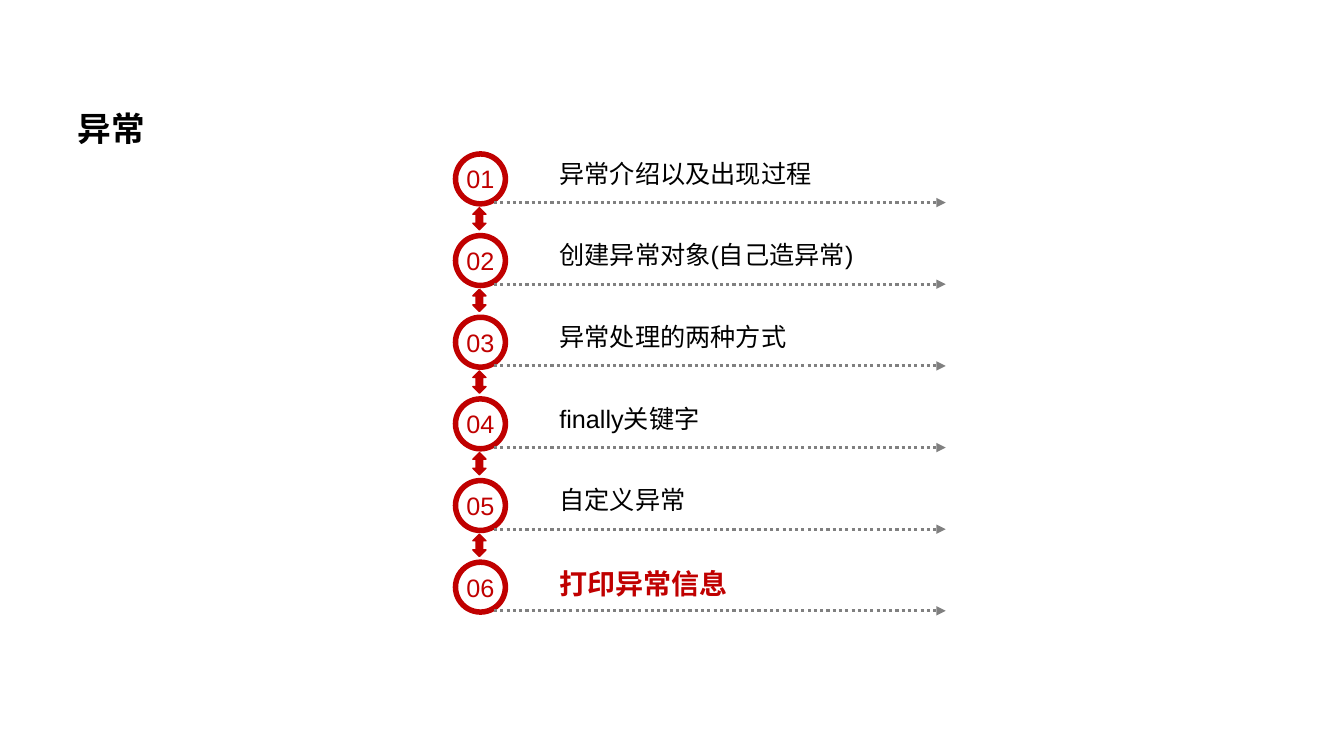
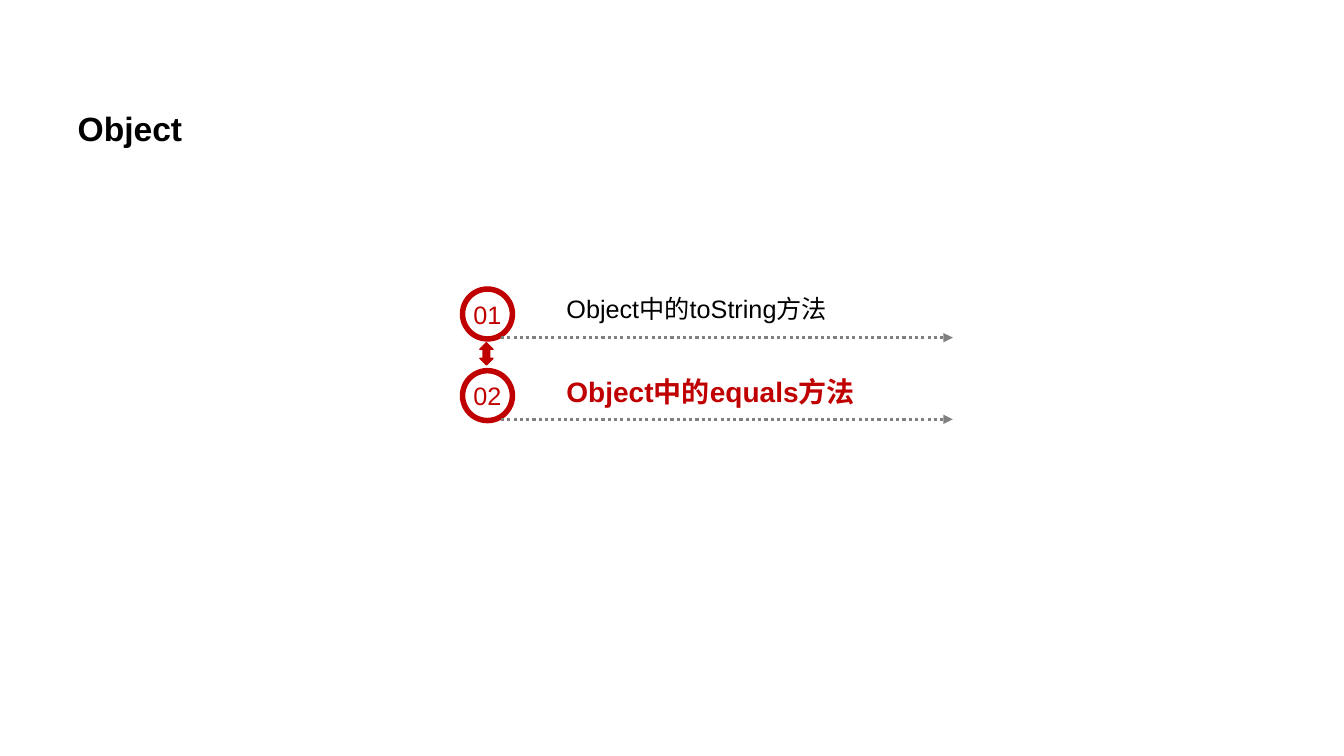
from dataclasses import dataclass

from lxml import etree
from pptx import Presentation
from pptx.dml.color import RGBColor
from pptx.enum.dml import MSO_LINE
from pptx.enum.shapes import MSO_CONNECTOR, MSO_SHAPE
from pptx.enum.text import MSO_ANCHOR, MSO_AUTO_SIZE, PP_ALIGN
from pptx.oxml.ns import qn
from pptx.presentation import Presentation as Deck
from pptx.shapes.autoshape import Shape
from pptx.slide import Slide
from pptx.text.text import TextFrame
from pptx.util import Inches, Pt

RING = MSO_SHAPE.DONUT
UP_DOWN_ARROW = MSO_SHAPE.UP_DOWN_ARROW
STRAIGHT = MSO_CONNECTOR.STRAIGHT
DOTTED = MSO_LINE.ROUND_DOT
TOP, MIDDLE = MSO_ANCHOR.TOP, MSO_ANCHOR.MIDDLE
LEFT, CENTER = PP_ALIGN.LEFT, PP_ALIGN.CENTER
NO_AUTOFIT = MSO_AUTO_SIZE.NONE

COLORS = {"accent": "C00000", "text": "000000", "rule": "808080", "page": "FFFFFF"}
FONT = "Arial"
TITLE_ONLY = 5

# Agenda geometry in inches, measured from each row's ring
ROW_PITCH = 0.81
RING_SIZE = 0.55
RING_BAND = 0.1  # share of the ring's width
ARROW_LEFT, ARROW_TOP = 0.2, 0.56
ARROW_WIDTH, ARROW_HEIGHT = 0.13, 0.22
RULE_LEFT, RULE_TOP, RULE_WIDTH = 0.41, 0.51, 4.48
LABEL_LEFT, LABEL_TOP, LABEL_WIDTH = 0.96, 0.02, 3.96


@dataclass(frozen=True)
class Agenda:
    title: str
    topics: tuple[str, ...]
    left: float
    top: float
    current: int  # index of the highlighted topic


AGENDAS = (
    Agenda(
        "异常",
        (
            "异常介绍以及出现过程",
            "创建异常对象(自己造异常)",
            "异常处理的两种方式",
            "finally关键字",
            "自定义异常",
            "打印异常信息",
        ),
        left=4.49, top=1.5, current=5,
    ),
    Agenda(
        "Object",
        ("Object中的toString方法", "Object中的equals方法"),
        left=4.56, top=2.84, current=1,
    ),
)


def rgb(name: str) -> RGBColor:
    return RGBColor.from_string(COLORS[name])


def write(frame: TextFrame, text: str, size: int, color: str,
          bold: bool = False, align: PP_ALIGN = LEFT) -> None:
    frame.text = text
    para = frame.paragraphs[0]
    para.alignment = align
    para.font.name = FONT
    para.font.size = Pt(size)
    para.font.bold = bold
    para.font.color.rgb = rgb(color)


def add_title(page: Slide, text: str) -> None:
    title = page.shapes.title
    title.left, title.top = Inches(0.67), Inches(0.82)
    title.width, title.height = Inches(11.74), Inches(1.11)
    frame = title.text_frame
    frame.auto_size = NO_AUTOFIT
    frame.vertical_anchor = TOP
    write(frame, text, 24, "text", bold=True)
    frame.paragraphs[0].line_spacing = 1.5


def add_accent_shape(page: Slide, kind: MSO_SHAPE, left: float, top: float,
                     width: float, height: float) -> Shape:
    shape = page.shapes.add_shape(
        kind, Inches(left), Inches(top), Inches(width), Inches(height))
    shape.shadow.inherit = False
    shape.fill.solid()
    shape.fill.fore_color.rgb = rgb("accent")
    return shape


def add_ring(page: Slide, left: float, top: float, number: int) -> None:
    ring = add_accent_shape(page, RING, left, top, RING_SIZE, RING_SIZE)
    ring.adjustments[0] = RING_BAND
    ring.line.fill.background()
    frame = ring.text_frame
    frame.word_wrap = False
    frame.vertical_anchor = MIDDLE
    frame.margin_left = frame.margin_right = 0
    frame.margin_top = frame.margin_bottom = 0
    write(frame, f"{number:02d}", 18, "accent", align=CENTER)


def add_link_arrow(page: Slide, left: float, top: float) -> None:
    arrow = add_accent_shape(
        page, UP_DOWN_ARROW, left, top, ARROW_WIDTH, ARROW_HEIGHT)
    arrow.line.color.rgb = rgb("accent")
    arrow.line.width = Pt(1)


def add_rule(page: Slide, left: float, top: float) -> None:
    rule = page.shapes.add_connector(
        STRAIGHT, Inches(left), Inches(top), Inches(left + RULE_WIDTH), Inches(top))
    rule.line.color.rgb = rgb("rule")
    rule.line.width = Pt(2.25)
    rule.line.dash_style = DOTTED
    # Arrowhead and no shadow
    properties = rule.element.spPr
    etree.SubElement(properties.find(qn("a:ln")), qn("a:tailEnd"), type="triangle")
    etree.SubElement(properties, qn("a:effectLst"))


def add_label(page: Slide, left: float, top: float, text: str, current: bool) -> None:
    box = page.shapes.add_textbox(
        Inches(left), Inches(top), Inches(LABEL_WIDTH), Inches(0.44 if current else 0.4))
    box.text_frame.word_wrap = True
    if current:
        write(box.text_frame, text, 20, "accent", bold=True)
    else:
        write(box.text_frame, text, 18, "text")


def add_agenda(deck: Deck, agenda: Agenda) -> None:
    page = deck.slides.add_slide(deck.slide_layouts[TITLE_ONLY])
    add_title(page, agenda.title)
    left = agenda.left
    for index, topic in enumerate(agenda.topics):
        top = agenda.top + index * ROW_PITCH
        add_ring(page, left, top, index + 1)
        add_rule(page, left + RULE_LEFT, top + RULE_TOP)
        add_label(page, left + LABEL_LEFT, top + LABEL_TOP, topic,
                  index == agenda.current)
        if index < len(agenda.topics) - 1:
            add_link_arrow(page, left + ARROW_LEFT, top + ARROW_TOP)


def main() -> None:
    deck = Presentation()
    deck.slide_width, deck.slide_height = Inches(13.33), Inches(7.5)
    background = deck.slide_master.background.fill
    background.solid()
    background.fore_color.rgb = rgb("page")
    for agenda in AGENDAS:
        add_agenda(deck, agenda)
    deck.save("out.pptx")


if __name__ == "__main__":
    main()
